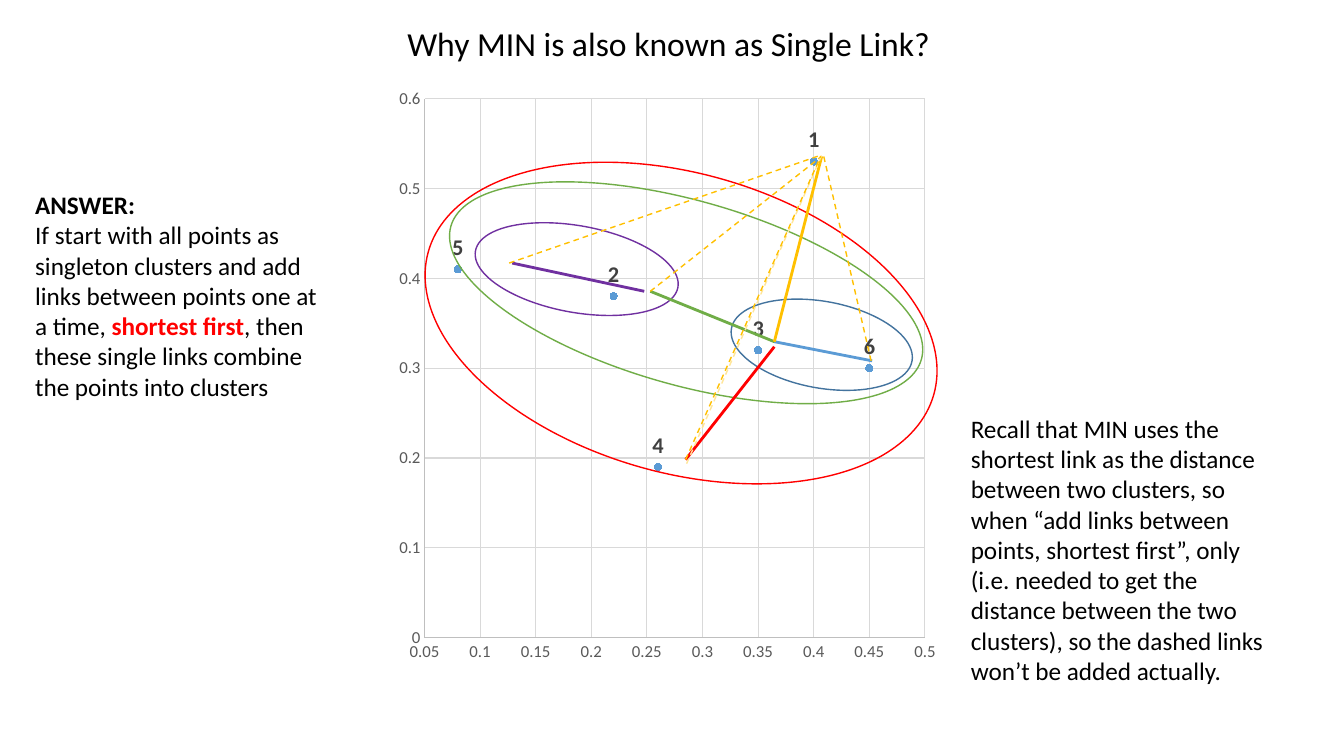
from dataclasses import dataclass
from typing import Any

import lxml.etree
import pptx
import pptx.chart.data
import pptx.dml.color
import pptx.enum.chart
import pptx.enum.dml
import pptx.enum.shapes
import pptx.enum.text
import pptx.oxml
import pptx.oxml.ns
import pptx.util

RGBColor = pptx.dml.color.RGBColor
BLACK = RGBColor(0x00, 0x00, 0x00)
RED = RGBColor(0xFF, 0x00, 0x00)
GREEN = RGBColor(0x70, 0xAD, 0x47)
PURPLE = RGBColor(0x70, 0x30, 0xA0)
BLUE = RGBColor(0x5B, 0x9B, 0xD5)
DARK_BLUE = RGBColor(0x43, 0x73, 0x9E)
GOLD = RGBColor(0xFF, 0xC0, 0x00)
PALE_GOLD = RGBColor(0xFF, 0xE6, 0x99)
LABEL_GRAY = RGBColor(0x40, 0x40, 0x40)
TICK_GRAY = RGBColor(0x59, 0x59, 0x59)
AXIS_GRAY = RGBColor(0xBF, 0xBF, 0xBF)
GRID_GRAY = RGBColor(0xD9, 0xD9, 0xD9)

# The slide is a grid of square cells
COLUMNS, ROWS = 133.3, 75
WIDTH, HEIGHT = pptx.util.Inches(13.33), pptx.util.Inches(7.5)
DASH = pptx.enum.dml.MSO_LINE.DASH


@dataclass(frozen=True)
class Area:
    column: float
    row: float
    columns: float
    rows: float

    def lengths(self) -> tuple[int, int, int, int]:
        return (across(self.column), down(self.row), across(self.columns), down(self.rows))


@dataclass(frozen=True)
class Cluster:
    area: Area
    angle: float
    color: RGBColor


@dataclass(frozen=True)
class Link:
    start: tuple[float, float]
    end: tuple[float, float]
    color: RGBColor
    dashed: bool = False


@dataclass(frozen=True)
class Words:
    text: str
    bold: bool = False
    color: RGBColor = BLACK


CHART_AREA = Area(38.5, 7.6, 55.4, 59.3)
TITLE_AREA = Area(39.4, 1.8, 64.9, 5)
POINTS = [(0.4, 0.53), (0.22, 0.38), (0.35, 0.32), (0.26, 0.19), (0.08, 0.41), (0.45, 0.3)]

CLUSTERS = [
    Cluster(Area(72.4, 29.9, 18.2, 8.6), 10.2, DARK_BLUE),
    Cluster(Area(47, 22.4, 20.4, 8.6), 10.2, PURPLE),
    Cluster(Area(43.8, 19.9, 48.5, 18.3), 15.8, GREEN),
    Cluster(Area(41.5, 17.2, 52.1, 29.7), 15.8, RED),
]

# Places where several links meet
NEAR_1, NEAR_2, NEAR_3, NEAR_4 = (81.5, 15.5), (64.5, 28.9), (76.8, 33.9), (68, 45.6)
LINKS = [
    Link(NEAR_3, (86.5, 35.8), BLUE),
    Link((50.8, 26.1), (63.9, 28.9), PURPLE),
    Link(NEAR_2, NEAR_3, GREEN),
    Link((76.8, 34.4), NEAR_4, RED),
    Link(NEAR_1, NEAR_3, GOLD),
    Link(NEAR_2, NEAR_1, GOLD, True),
    Link((86.4, 35.8), (81.7, 15.5), GOLD, True),
    Link((50.5, 26.1), (81.4, 15.4), GOLD, True),
    Link((68.1, 46), (81.5, 15.4), PALE_GOLD, True),
    Link(NEAR_4, (81.4, 15.5), GOLD, True),
]

TITLE = [[Words("Why MIN is also known as Single Link?")]]
NOTES = [
    (Area(2.5, 18.3, 31.5, 22.2), [
        [Words("ANSWER:", True)],
        [Words("If start with all points as singleton clusters and add links between points one at a time, "),
         Words("shortest first", True, RED),
         Words(", then these single links combine the points into clusters")],
    ]),
    (Area(95.3, 40.5, 31.5, 28.3), [
        [Words("Recall that MIN uses the shortest link as the distance between two clusters, so when "
               "“add links between points, shortest first”, only (i.e. needed to get the distance "
               "between the two clusters), so the dashed links won’t be added actually.")],
    ]),
]


def across(columns: float) -> int:
    return round(WIDTH * columns / COLUMNS)


def down(rows: float) -> int:
    return round(HEIGHT * rows / ROWS)


def apply(target: Any, values: dict[str, Any]) -> None:
    for name, value in values.items():
        setattr(target, name, value)


def format_font(font: Any, size: float, color: RGBColor, bold: bool = False) -> None:
    apply(font, {"name": "Calibri", "size": pptx.util.Pt(size), "bold": bold})
    font.color.rgb = color


def format_line(line: Any, color: RGBColor, width: float) -> None:
    line.color.rgb = color
    line.width = pptx.util.Pt(width)


def write(box: Any, paragraphs: list[list[Words]], size: float) -> None:
    frame = box.text_frame
    apply(frame, {"word_wrap": True, "auto_size": pptx.enum.text.MSO_AUTO_SIZE.NONE})
    for index, spans in enumerate(paragraphs):
        para = frame.add_paragraph() if index else frame.paragraphs[0]
        para.alignment = pptx.enum.text.PP_ALIGN.LEFT
        for words in spans:
            span = para.add_run()
            span.text = words.text
            format_font(span.font, size, words.color, words.bold)


def draw_chart(page: Any) -> None:
    data = pptx.chart.data.XyChartData()
    points = data.add_series("Series 1")
    for x, y in POINTS:
        points.add_data_point(x, y)
    chart = page.shapes.add_chart(
        pptx.enum.chart.XL_CHART_TYPE.XY_SCATTER, *CHART_AREA.lengths(), data).chart
    apply(chart, {"has_legend": False, "has_title": False})
    format_font(chart.font, 10, BLACK)

    # Axes
    for axis, low, high, step in ((chart.category_axis, 0.05, 0.5, 0.05),
                                  (chart.value_axis, 0, 0.6, 0.1)):
        apply(axis, {"minimum_scale": low, "maximum_scale": high, "major_unit": step,
                     "has_major_gridlines": True,
                     "major_tick_mark": pptx.enum.chart.XL_TICK_MARK.NONE,
                     "minor_tick_mark": pptx.enum.chart.XL_TICK_MARK.NONE})
        apply(axis.tick_labels, {"number_format": "General", "number_format_is_linked": False})
        format_font(axis.tick_labels.font, 12, TICK_GRAY)
        format_line(axis.format.line, AXIS_GRAY, 0.75)
        format_line(axis.major_gridlines.format.line, GRID_GRAY, 0.75)

    # Markers with numbered labels
    plot = chart.plots[0]
    plot.vary_by_categories = False
    series = plot.series[0]
    series.format.line.fill.background()
    apply(series.marker, {"style": pptx.enum.chart.XL_MARKER_STYLE.CIRCLE, "size": 5})
    series.marker.format.fill.solid()
    series.marker.format.fill.fore_color.rgb = BLUE
    format_line(series.marker.format.line, BLUE, 0.75)
    for index in range(len(POINTS)):
        label = series.points[index].data_label
        label.position = pptx.enum.chart.XL_LABEL_POSITION.ABOVE
        span = label.text_frame.paragraphs[0].add_run()
        span.text = str(index + 1)
        format_font(span.font, 16, LABEL_GRAY, True)

    # Fixed plot area
    plot_area = plot._element.getparent()
    for old in plot_area.findall(pptx.oxml.ns.qn("c:layout")):
        plot_area.remove(old)
    layout = pptx.oxml.parse_xml(
        f'<c:layout {pptx.oxml.ns.nsdecls("c")}><c:manualLayout><c:layoutTarget val="inner"/>'
        '<c:xMode val="edge"/><c:yMode val="edge"/><c:x val="0.065"/><c:y val="0.037"/>'
        '<c:w val="0.896"/><c:h val="0.902"/></c:manualLayout></c:layout>')
    plot_area.insert(0, layout)


def draw_cluster(page: Any, cluster: Cluster) -> None:
    oval = page.shapes.add_shape(pptx.enum.shapes.MSO_SHAPE.OVAL, *cluster.area.lengths())
    oval.rotation = cluster.angle
    oval.shadow.inherit = False
    oval.fill.background()
    format_line(oval.line, cluster.color, 1)


def draw_link(page: Any, link: Link) -> None:
    (x1, y1), (x2, y2) = link.start, link.end
    line = page.shapes.add_connector(pptx.enum.shapes.MSO_CONNECTOR.STRAIGHT,
                                     across(x1), down(y1), across(x2), down(y2))
    format_line(line.line, link.color, 1 if link.dashed else 2)
    if link.dashed:
        line.line.dash_style = DASH
    lxml.etree.SubElement(line._element.spPr, pptx.oxml.ns.qn("a:effectLst"))


def main() -> None:
    deck = pptx.Presentation()
    apply(deck, {"slide_width": WIDTH, "slide_height": HEIGHT})
    page = deck.slides.add_slide(deck.slide_layouts.get_by_name("Title Only"))
    title = page.shapes.title
    apply(title, dict(zip(("left", "top", "width", "height"), TITLE_AREA.lengths())))
    write(title, TITLE, 24)
    draw_chart(page)
    for cluster in CLUSTERS:
        draw_cluster(page, cluster)
    for link in LINKS:
        draw_link(page, link)
    for area, paragraphs in NOTES:
        write(page.shapes.add_textbox(*area.lengths()), paragraphs, 18)
    deck.save("out.pptx")


if __name__ == "__main__":
    main()
